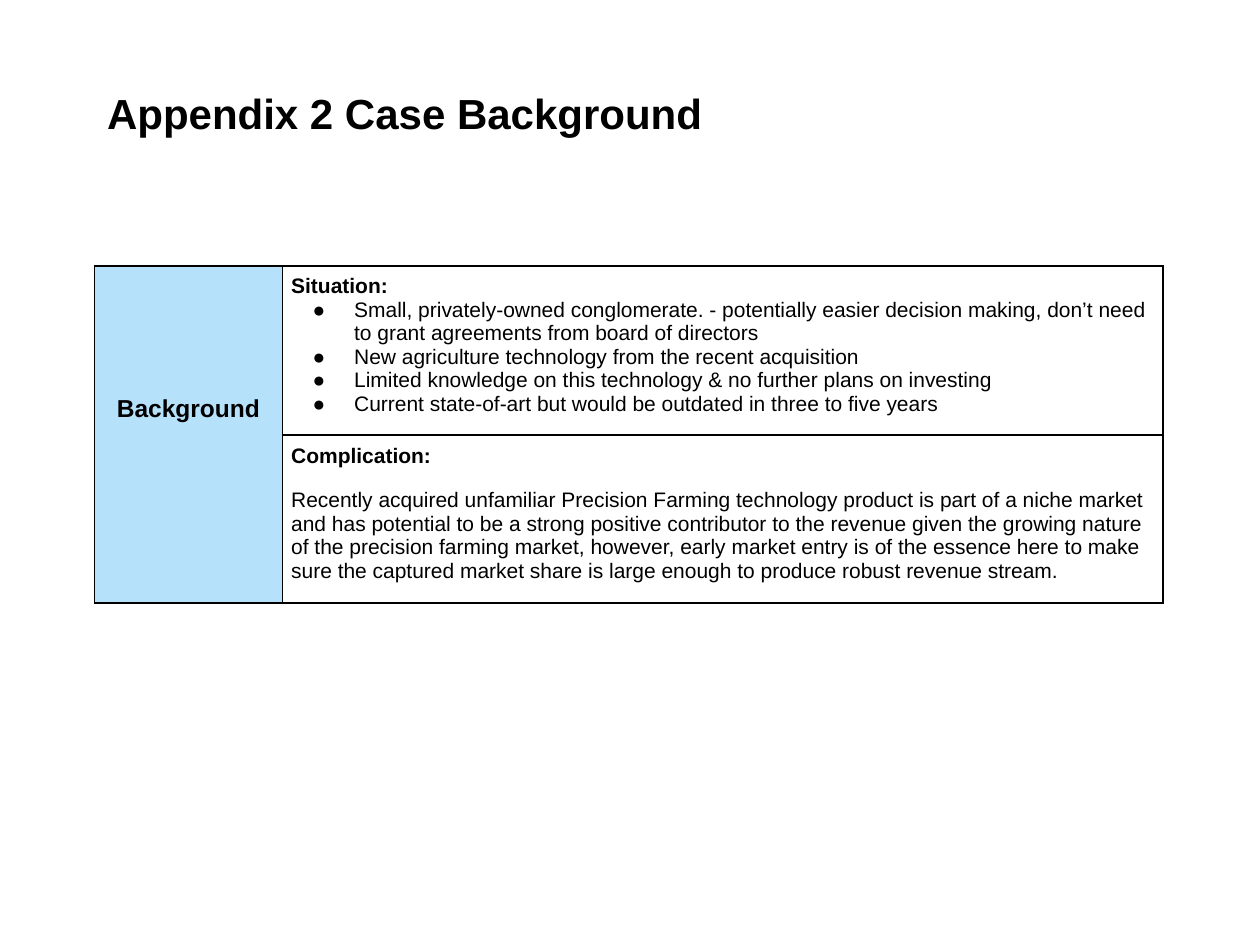
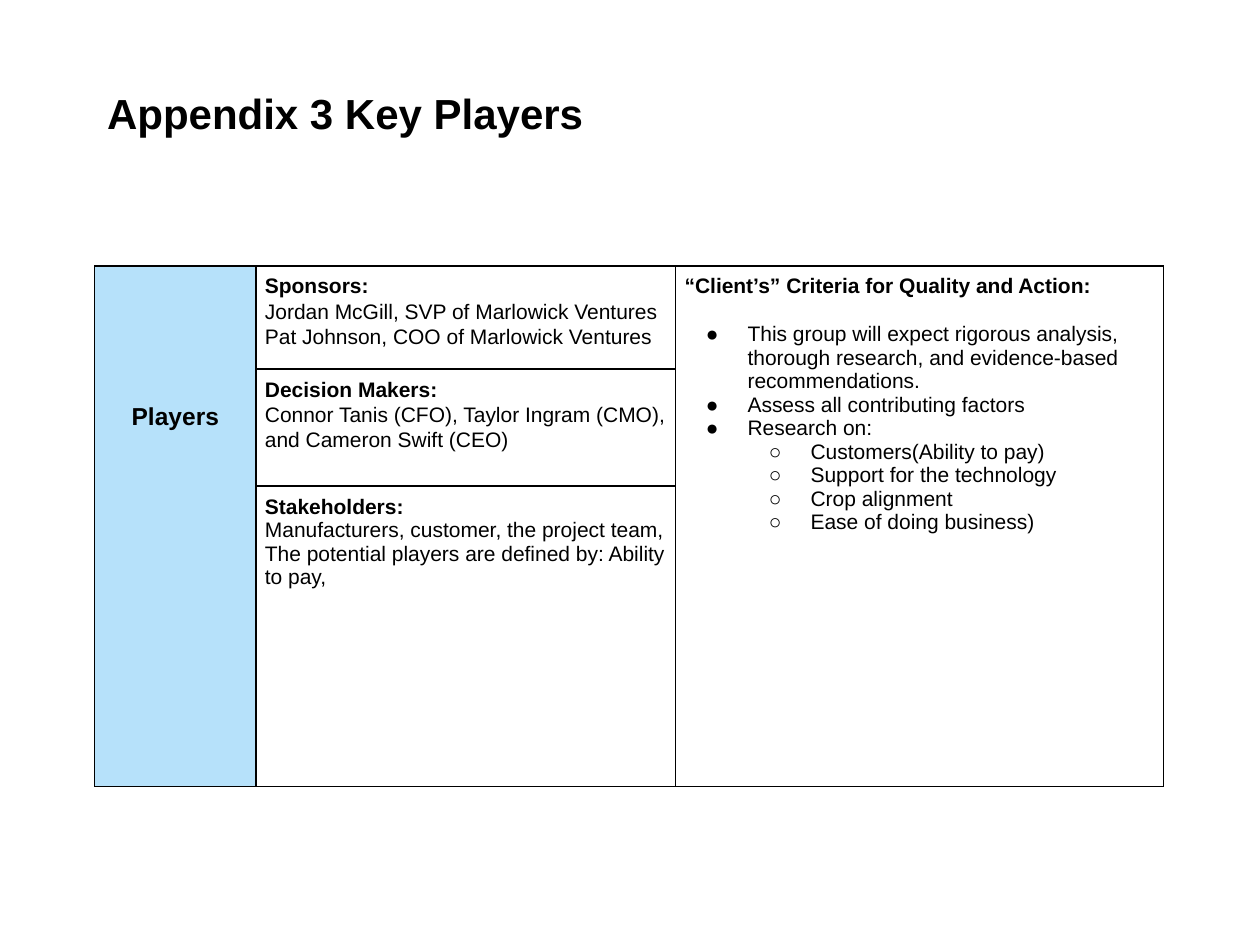
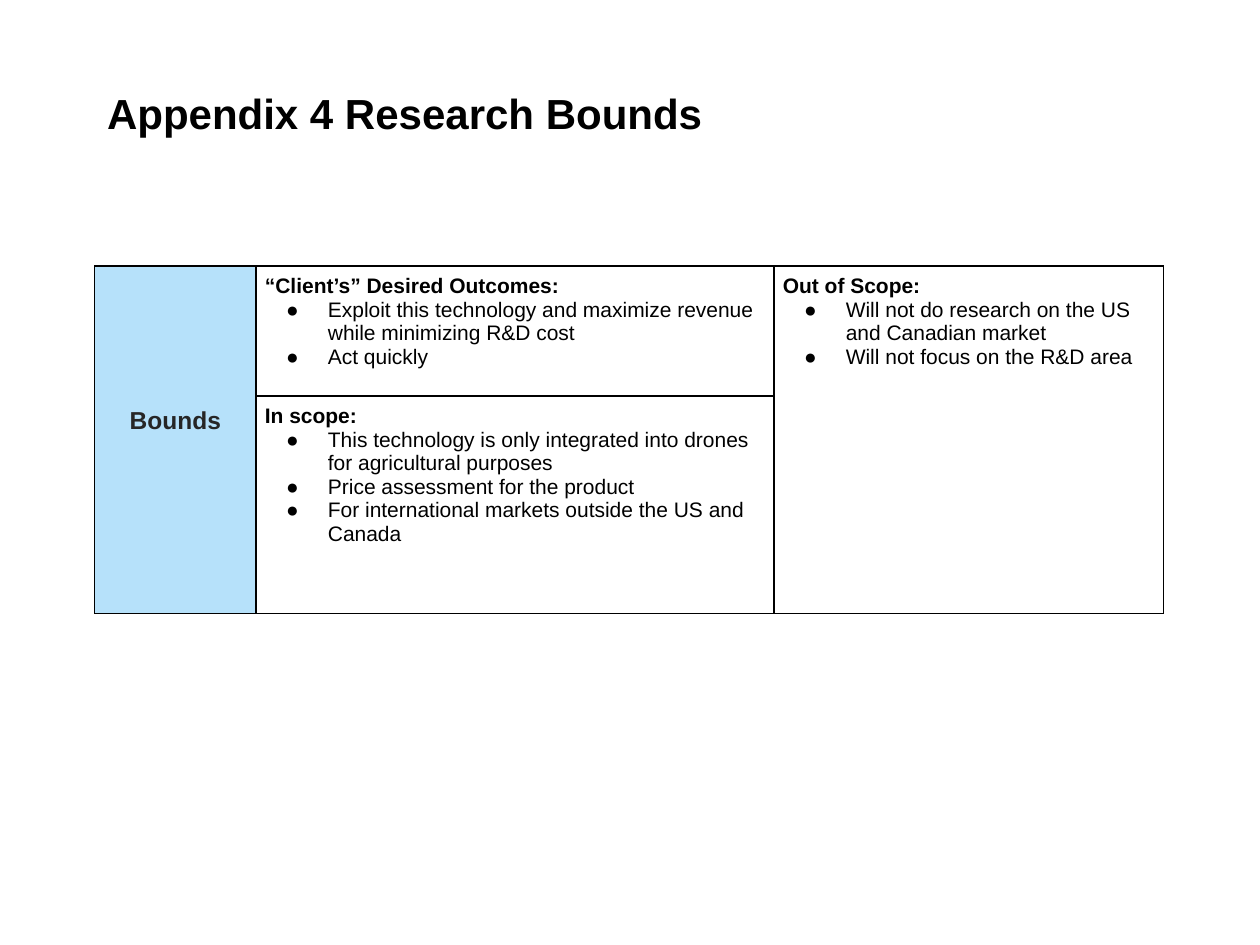
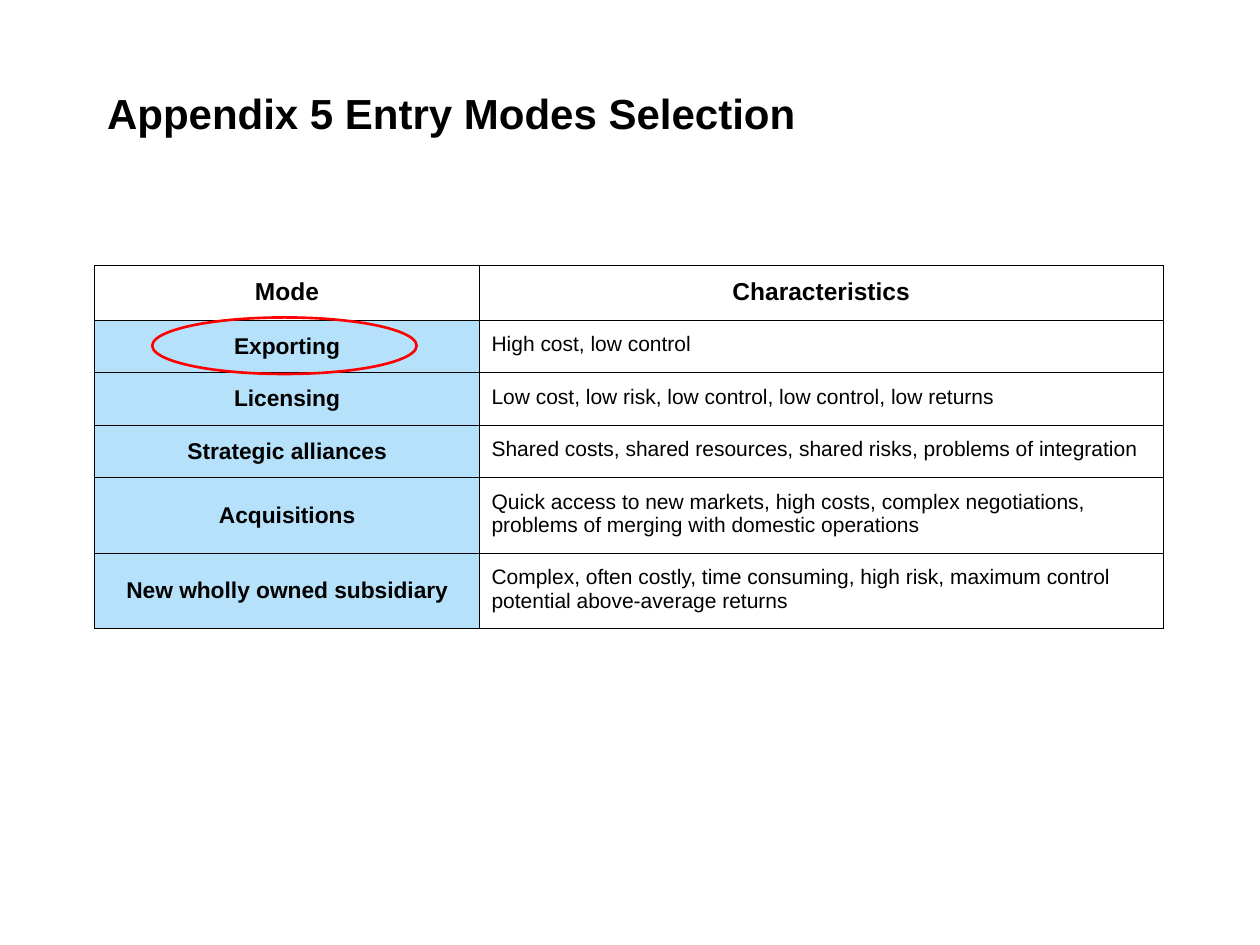
from lxml.etree import SubElement
from pptx import Presentation
from pptx.dml.color import RGBColor
from pptx.enum.shapes import MSO_SHAPE
from pptx.enum.text import MSO_ANCHOR, PP_ALIGN
from pptx.oxml.ns import qn
from pptx.util import Cm, Pt

# Shared style
BLACK = RGBColor(0x00, 0x00, 0x00)
DARK_GREY = RGBColor(0x26, 0x26, 0x26)
SKY_BLUE = RGBColor(0xB6, 0xE1, 0xFA)
RED = RGBColor(0xFF, 0x00, 0x00)
FONT = "Arial"
LEFT, TABLE_TOP = 1.91, 5.36
BULLETS = ("●", "○")
INDENT, HANGING = 1.27, 0.84


# Text
def set_all(target, values):
    for name, value in values.items():
        setattr(target, name, value)


def item(text, size=12, bold=False, color=BLACK, bullet=None, **layout):
    """Describe one paragraph; layout holds paragraph attributes."""
    font = {"name": FONT, "size": Pt(size), "bold": bold}
    return {"text": text, "font": font, "color": color, "bullet": bullet, "layout": layout}


def heading(text):
    return item(text, bold=True)


def label(text, size=14, color=BLACK):
    return item(text, size, True, color, alignment=PP_ALIGN.CENTER)


def bullets(*texts, level=0):
    return [item(text, bullet=level) for text in texts]


def add_bullet(para, level):
    properties = para._p.get_or_add_pPr()
    properties.set("marL", str(Cm(INDENT * (level + 1))))
    properties.set("indent", str(-Cm(HANGING)))
    color = SubElement(properties, qn("a:buClr"))
    SubElement(color, qn("a:srgbClr"), val=str(BLACK))
    SubElement(properties, qn("a:buFont"), typeface=FONT)
    SubElement(properties, qn("a:buChar"), char=BULLETS[level])
    para.level = level


def write(frame, items):
    for index, entry in enumerate(items):
        para = frame.add_paragraph() if index else frame.paragraphs[0]
        if entry["bullet"] is not None:
            add_bullet(para, entry["bullet"])
        set_all(para, entry["layout"])
        span = para.add_run()
        span.text = entry["text"]
        set_all(span.font, entry["font"])
        span.font.color.rgb = entry["color"]


# Slide and table elements
def add_page(deck, title):
    page = deck.slides.add_slide(deck.slide_layouts[6])
    box = page.shapes.add_textbox(Cm(LEFT), Cm(1.57), Cm(21.54), Cm(1.55))
    set_all(box.text_frame, {"word_wrap": True, "vertical_anchor": MSO_ANCHOR.MIDDLE})
    write(box.text_frame, [item(title, 24, True, line_spacing=0.9)])
    return page


def add_borders(cell, width):
    properties = cell._tc.get_or_add_tcPr()
    for side in ("lnL", "lnR", "lnT", "lnB"):
        line = SubElement(properties, qn(f"a:{side}"), w=str(Pt(width)))
        fill = SubElement(line, qn("a:solidFill"))
        SubElement(fill, qn("a:srgbClr"), val=str(BLACK))


def add_grid(page, widths, heights, border, inset):
    """Add a table with plain bordered cells and a blue first column."""
    frame = page.shapes.add_table(len(heights), len(widths), Cm(LEFT), Cm(TABLE_TOP),
                                  Cm(sum(widths)), Cm(sum(heights)))
    table = frame.table
    set_all(table, {"first_row": False, "horz_banding": False})
    for column, width in zip(table.columns, widths):
        column.width = Cm(width)
    for row, height in zip(table.rows, heights):
        row.height = Cm(height)
        for index, cell in enumerate(row.cells):
            add_borders(cell, border)
            for side in ("left", "right", "top", "bottom"):
                setattr(cell, f"margin_{side}", Cm(inset))
            if index:
                cell.fill.background()
            else:
                cell.fill.solid()
                cell.fill.fore_color.rgb = SKY_BLUE
    return table


def add_topic_table(page, topic, topic_offset, widths, heights, sections, side=None):
    """Add a table with a tall topic cell, stacked sections and a tall side cell."""
    table = add_grid(page, widths, heights, 1, 0.18)
    last = len(heights) - 1
    tall = {0: [topic]}
    if side:
        tall[2] = side
    for column, items in tall.items():
        table.cell(0, column).merge(table.cell(last, column))
        write(table.cell(0, column).text_frame, items)
    table.cell(0, 0).margin_top = Cm(topic_offset)
    for row, items in enumerate(sections):
        write(table.cell(row, 1).text_frame, items)


def add_mode_table(page, headers, modes, heights):
    table = add_grid(page, [7.75, 13.79], heights, 0.75, 0.25)
    for column, text in enumerate(headers):
        cell = table.cell(0, column)
        cell.fill.background()
        write(cell.text_frame, [label(text)])
    for row, (mode, characteristics) in enumerate(modes, start=1):
        name_cell = table.cell(row, 0)
        name_cell.vertical_anchor = MSO_ANCHOR.MIDDLE
        write(name_cell.text_frame, [label(mode, 13)])
        write(table.cell(row, 1).text_frame, [item(characteristics)])


def add_highlight(page):
    ring = page.shapes.add_shape(MSO_SHAPE.OVAL, Cm(3.07), Cm(6.4), Cm(5.33), Cm(1.14))
    ring.shadow.inherit = False
    ring.fill.background()
    ring.line.color.rgb = RED
    ring.line.width = Pt(1.5)


# Slides
def add_background(deck):
    page = add_page(deck, "Appendix 2 Case Background")
    situation = [heading("Situation:")] + bullets(
        "Small, privately-owned conglomerate. - potentially easier decision making, "
        "don’t need to grant agreements from board of directors",
        "New agriculture technology from the recent acquisition",
        "Limited knowledge on this technology & no further plans on investing",
        "Current state-of-art but would be outdated in three to five years")
    complication = [heading("Complication:"), item(
        "Recently acquired unfamiliar Precision Farming technology product is part of a "
        "niche market and has potential to be a strong positive contributor to the revenue "
        "given the growing nature of the precision farming market, however, early market "
        "entry is of the essence here to make sure the captured market share is large "
        "enough to produce robust revenue stream.",
        space_before=Pt(12), space_after=Pt(12))]
    add_topic_table(page, label("Background"), 2.61, [3.78, 17.75], [3.2, 3.28],
                    [situation, complication])


def add_players(deck):
    page = add_page(deck, "Appendix 3 Key Players")
    sponsors = [heading("Sponsors:"), item(
        "Jordan McGill, SVP of Marlowick Ventures Pat Johnson, COO of Marlowick Ventures",
        line_spacing=1.08)]
    deciders = [heading("Decision Makers:"), item(
        "Connor Tanis (CFO), Taylor Ingram (CMO), and Cameron Swift (CEO)",
        line_spacing=1.08, space_after=Pt(8))]
    stakeholders = [heading("Stakeholders:"),
                    item("Manufacturers, customer, the project team,"),
                    item("The potential players are defined by: Ability to pay,")]
    expectations = bullets(
        "This group will expect rigorous analysis, thorough research, and evidence-based "
        "recommendations.",
        "Assess all contributing factors",
        "Research on:")
    expectations[0]["layout"]["space_before"] = Pt(13.8)
    research = bullets("Customers(Ability to pay)", "Support for the technology",
                       "Crop alignment", "Ease of doing business)", level=1)
    criteria = [heading("“Client’s” Criteria for Quality and Action:")]
    add_topic_table(page, label("Players"), 2.77, [3.25, 8.46, 9.83], [2.08, 2.36, 6.05],
                    [sponsors, deciders, stakeholders], criteria + expectations + research)


def add_bounds(deck):
    page = add_page(deck, "Appendix 4 Research Bounds")
    outcomes = [heading("“Client’s” Desired Outcomes:")] + bullets(
        "Exploit this technology and maximize revenue while minimizing R&D cost",
        "Act quickly")
    in_scope = [heading("In scope:")] + bullets(
        "This technology is only integrated into drones for agricultural purposes",
        "Price assessment for the product",
        "For international markets outside the US and Canada")
    out_of_scope = [heading("Out of Scope:")] + bullets(
        "Will not do research on the US and Canadian market",
        "Will not focus on the R&D area")
    add_topic_table(page, label("Bounds", color=DARK_GREY), 2.85, [3.25, 10.44, 7.85],
                    [2.62, 4.39], [outcomes, in_scope], out_of_scope)


def add_entry_modes(deck):
    page = add_page(deck, "Appendix 5 Entry Modes Selection")
    modes = [
        ("Exporting", "High cost, low control"),
        ("Licensing", "Low cost, low risk, low control, low control, low returns"),
        ("Strategic alliances",
         "Shared costs, shared resources, shared risks, problems of integration"),
        ("Acquisitions",
         "Quick access to new markets, high costs, complex negotiations, "
         "problems of merging with domestic operations"),
        ("New wholly owned subsidiary",
         "Complex, often costly, time consuming, high risk, maximum control "
         "potential above-average returns"),
    ]
    add_mode_table(page, ("Mode", "Characteristics"), modes, [1.06] * 4 + [1.46] * 2)
    add_highlight(page)


def main():
    deck = Presentation()
    set_all(deck, {"slide_width": Cm(25.4), "slide_height": Cm(19.05)})
    for add_slide in (add_background, add_players, add_bounds, add_entry_modes):
        add_slide(deck)
    deck.save("out.pptx")


if __name__ == "__main__":
    main()
